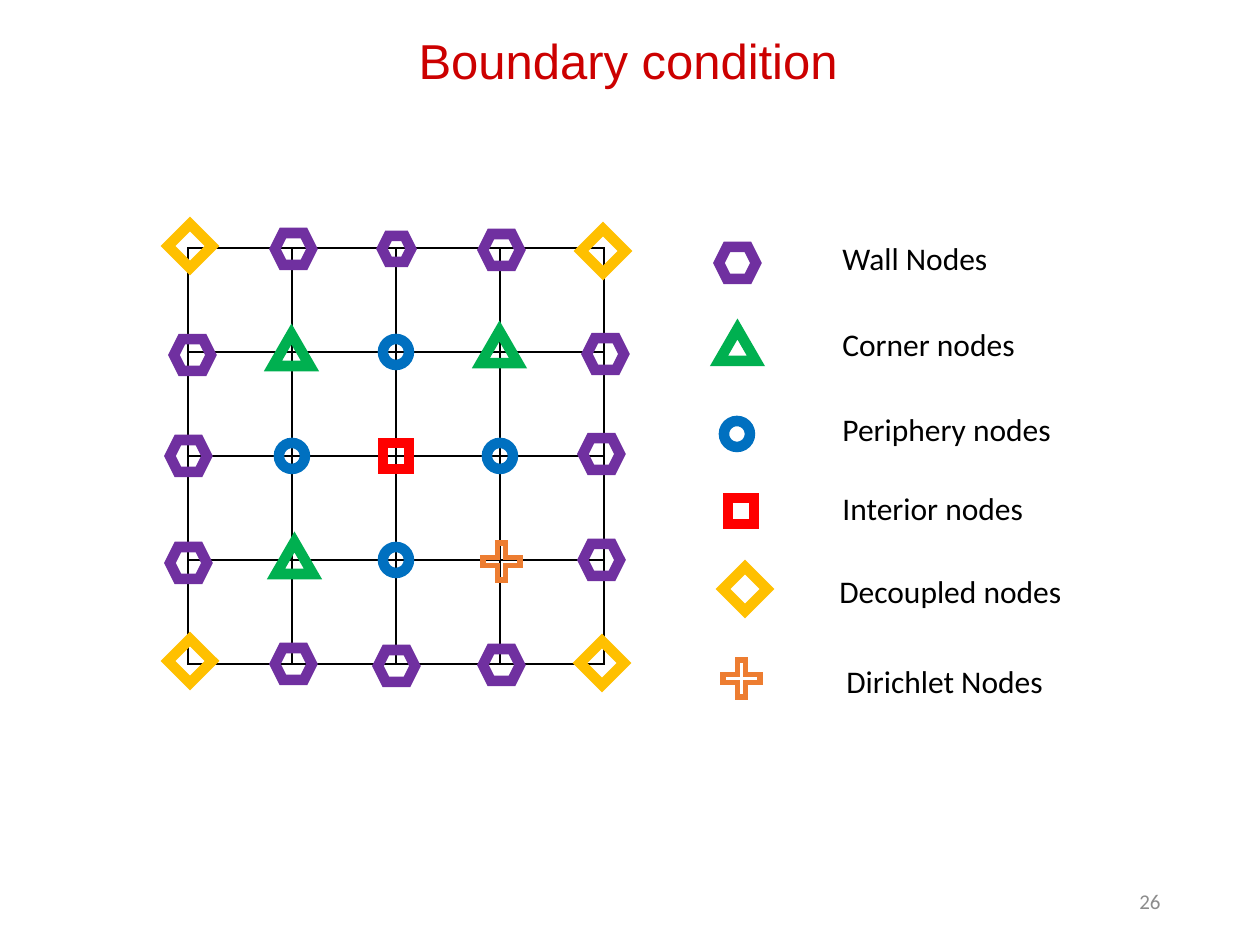
import lxml.etree
import pptx
import pptx.dml.color
import pptx.enum.shapes
import pptx.enum.text
import pptx.oxml.ns
import pptx.util

SHAPE = pptx.enum.shapes.MSO_SHAPE
ALIGN = pptx.enum.text.PP_ALIGN
ANCHOR = pptx.enum.text.MSO_ANCHOR

GRID_LEFT, GRID_TOP, CELL, CELLS = 188, 248, 104, 4

# kind: (preset, width, height, colour, line points)
MARKERS = {
    "wall": (SHAPE.HEXAGON, 37, 32, "7030A0", 6),
    "small wall": (SHAPE.HEXAGON, 29, 26, "7030A0", 6),
    "corner": (SHAPE.ISOSCELES_TRIANGLE, 37, 32, "00B050", 6),
    "periphery": (SHAPE.OVAL, 26, 26, "0070C0", 6),
    "interior": (SHAPE.RECTANGLE, 26, 26, "FF0000", 6),
    "decoupled": (SHAPE.DIAMOND, 44, 44, "FFC000", 6),
    "dirichlet": (SHAPE.CROSS, 37, 37, "ED7D31", 3),
}

# kind: (column, row, nudge right, nudge down)
NODES = {
    "interior": [(2, 2, 0, 0)],
    "periphery": [(1, 2, 0, 0), (2, 3, 0, 0), (3, 2, 0, 0), (2, 1, 0, 0)],
    "corner": [(1, 1, -1, -2), (3, 1, -1, -5), (1, 3, 2, -2)],
    "wall": [
        (0, 1, 4, 3), (0, 2, 0, 0), (0, 3, 0, 3),
        (1, 0, 1, 1), (3, 0, 1, 2),
        (1, 4, 1, 0), (2, 4, 0, 2), (3, 4, 1, 1),
        (4, 1, 1, 2), (4, 2, -3, -2), (4, 3, -3, 0),
    ],
    "small wall": [(2, 0, 0, 1)],
    "decoupled": [(4, 4, -2, -1), (4, 0, -1, 3), (0, 4, 2, -3), (0, 0, 2, -2)],
    "dirichlet": [(3, 3, 1, 1)],
}

# kind, marker centre, label, label left, top and width
LEGEND = [
    ("wall", 737, 263, "Wall Nodes", 830, 233, 193),
    ("corner", 737, 345, "Corner nodes", 830, 319, 217),
    ("periphery", 737, 434, "Periphery nodes", 830, 404, 246),
    ("interior", 741, 511, "Interior nodes", 830, 483, 246),
    ("decoupled", 745, 589, "Decoupled nodes", 827, 566, 302),
    ("dirichlet", 741, 678, "Dirichlet Nodes", 834, 656, 302),
]


def px(length):
    """Turn px, at 126 to the inch, into EMU."""
    return pptx.util.Emu(round(length * 914400 / 126))


def colour(value):
    return pptx.dml.color.RGBColor.from_string(value)


class Painter:
    """Holds the text style and the current slide."""

    font = "Calibri"
    size = 18
    ink = "000000"

    def __init__(self, slide):
        self.slide = slide

    def set_text(self, frame, text, size, ink, font, align):
        frame.word_wrap = True
        frame.text = text
        para = frame.paragraphs[0]
        para.alignment = align
        for span in para.runs:
            span.font.name = font
            span.font.size = pptx.util.Pt(size)
            span.font.color.rgb = colour(ink)

    def title(self, text, left, top, width, height):
        box = self.slide.shapes.title
        box.left, box.top, box.width, box.height = map(px, (left, top, width, height))
        frame = box.text_frame
        frame.margin_left = frame.margin_right = px(16)
        frame.margin_top = frame.margin_bottom = px(16)
        frame.auto_size = pptx.enum.text.MSO_AUTO_SIZE.NONE
        frame.vertical_anchor = ANCHOR.BOTTOM
        self.set_text(frame, text, 28, "CC0000", "Arial", ALIGN.CENTER)

    def label(self, text, left, top, width, size=size, ink=ink,
              align=ALIGN.LEFT, anchor=ANCHOR.TOP):
        box = self.slide.shapes.add_textbox(*map(px, (left, top, width, 50)))
        box.text_frame.vertical_anchor = anchor
        self.set_text(box.text_frame, text, size, ink, self.font, align)

    def outline(self, preset, left, top, width, height, ink, points):
        """Draw an unfilled shape with sharp corners."""
        shape = self.slide.shapes.add_shape(preset, *map(px, (left, top, width, height)))
        shape.shadow.inherit = False
        shape.fill.background()
        shape.line.color.rgb = colour(ink)
        shape.line.width = pptx.util.Pt(points)
        line = shape.element.spPr.find(pptx.oxml.ns.qn("a:ln"))
        miter = lxml.etree.SubElement(line, pptx.oxml.ns.qn("a:miter"))
        miter.set("lim", "800000")
        return shape

    def marker(self, kind, centre_x, centre_y):
        preset, width, height, ink, points = MARKERS[kind]
        shape = self.outline(preset, centre_x - width // 2, centre_y - height // 2,
                             width, height, ink, points)
        if preset == SHAPE.CROSS:
            shape.adjustments[0] = 0.39

    def grid(self):
        for row in range(CELLS):
            for column in range(CELLS):
                self.outline(SHAPE.RECTANGLE, GRID_LEFT + column * CELL,
                             GRID_TOP + row * CELL, CELL, CELL, self.ink, 1)


def main():
    deck = pptx.Presentation()
    deck.slide_width, deck.slide_height = px(1260), px(945)
    page = deck.slides.add_slide(deck.slide_layouts.get_by_name("Title Only"))
    painter = Painter(page)

    painter.title("Boundary condition", 83, 13, 1090, 92)
    painter.label("26", 890, 876, 283, size=12, ink="8C8C8C",
                  align=ALIGN.RIGHT, anchor=ANCHOR.MIDDLE)
    painter.grid()
    for kind, places in NODES.items():
        for column, row, right, down in places:
            painter.marker(kind, GRID_LEFT + column * CELL + right,
                           GRID_TOP + row * CELL + down)
    for kind, centre_x, centre_y, text, left, top, width in LEGEND:
        painter.marker(kind, centre_x, centre_y)
        painter.label(text, left, top, width)

    deck.save("out.pptx")


if __name__ == "__main__":
    main()
